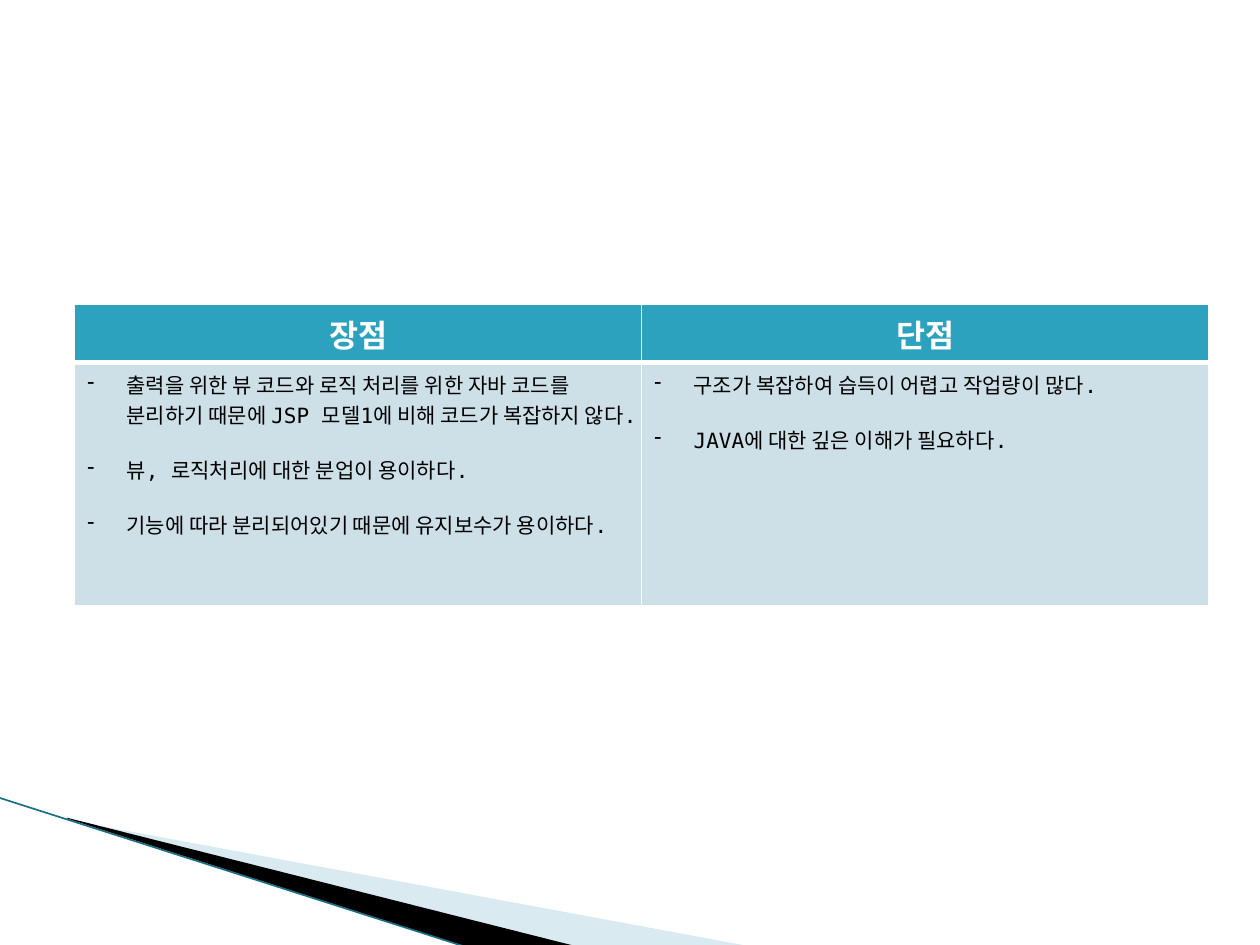
"""Build a slide that weighs the pros and cons of a design in a table."""
from dataclasses import dataclass

from lxml import etree
from pptx import Presentation
from pptx import util as u
from pptx.dml.color import RGBColor
from pptx.enum import shapes, text
from pptx.oxml.ns import qn

HUES = {
    "white": "FFFFFF", "black": "000000", "teal": "2DA2BF",
    "pale": "CDE0E8", "mist": "A0CBDC", "edge": "1A6F82",
}
FONT = "DejaVu Sans Mono"


@dataclass
class Wedge:
    points: list[tuple[float, float]]
    hue: str
    alpha: int = 100


@dataclass
class Column:
    head: str
    items: list[str]


WEDGES = [
    Wedge([(39.6, 468.7), (428.4, 540.7), (328.3, 540.7), (39.6, 468)], "mist", 40),
    Wedge([(38.2, 467.3), (329, 540.7), (267.8, 541.4), (38.9, 468)], "black"),
]
COLUMNS = [
    Column("장점", [
        "출력을 위한 뷰 코드와 로직 처리를 위한 자바 코드를 분리하기 때문에 JSP 모델1에 비해 코드가 복잡하지 않다.",
        "뷰, 로직처리에 대한 분업이 용이하다.",
        "기능에 따라 분리되어있기 때문에 유지보수가 용이하다.",
    ]),
    Column("단점", [
        "구조가 복잡하여 습득이 어렵고 작업량이 많다.",
        "JAVA에 대한 깊은 이해가 필요하다.",
    ]),
]


def paint(fill, hue: str) -> None:
    """Give a fill one solid colour."""
    fill.solid()
    fill.fore_color.rgb = RGBColor.from_string(HUES[hue])


def write(par, words: str, *, size: float, hue: str, bold: bool = False,
          align=text.PP_ALIGN.LEFT, gap: float = 0, dash: bool = False) -> None:
    """Put formatted words in a paragraph."""
    par.alignment = align
    par.space_before = u.Pt(gap)
    run = par.add_run()
    run.text = words
    run.font.name, run.font.size, run.font.bold = FONT, u.Pt(size), bold
    run.font.color.rgb = RGBColor.from_string(HUES[hue])
    if dash:
        props = par._p.get_or_add_pPr()
        props.set("marL", str(u.Pt(22.5)))
        props.set("indent", str(-u.Pt(22.5)))
        etree.SubElement(props, qn("a:buChar"), char="-")


def border(cell, **widths: float) -> None:
    """Draw white borders on the named sides of a cell."""
    props = cell._tc.get_or_add_tcPr()
    for side, width in widths.items():
        line = etree.SubElement(props, qn(f"a:ln{side}"), w=str(u.Pt(width)))
        solid = etree.SubElement(line, qn("a:solidFill"))
        etree.SubElement(solid, qn("a:srgbClr"), val=HUES["white"])


def draw(slide, wedge: Wedge) -> None:
    """Draw one corner wedge."""
    first, *rest = [(u.Pt(x), u.Pt(y)) for x, y in wedge.points]
    pen = slide.shapes.build_freeform(*first)
    pen.add_line_segments(rest)
    shape = pen.convert_to_shape()
    shape.shadow.inherit = False
    shape.line.fill.background()
    paint(shape.fill, wedge.hue)
    if wedge.alpha < 100:
        tint = shape._element.spPr.find(f".//{qn('a:srgbClr')}")
        etree.SubElement(tint, qn("a:alpha"), val=str(wedge.alpha * 1000))


def rule(slide) -> None:
    """Draw the thin line along the wedges."""
    line = slide.shapes.add_connector(
        shapes.MSO_CONNECTOR.STRAIGHT, u.Pt(-0.7), u.Pt(455.8), u.Pt(267.1), u.Pt(541.4))
    line.line.width = u.Pt(0.95)
    paint(line.line.fill, "edge")
    etree.SubElement(line._element.spPr, qn("a:effectLst"))


def grid(slide, cols: list[Column]) -> None:
    """Draw the table, one column for each side of the case."""
    table = slide.shapes.add_table(
        2, len(cols), u.Pt(42.7), u.Pt(174), u.Pt(648), u.Pt(170)).table
    table.rows[0].height, table.rows[1].height = u.Pt(31.2), u.Pt(138.8)
    for num, col in enumerate(cols):
        head, body = table.cell(0, num), table.cell(1, num)
        border(head, L=1, R=1, T=1, B=3)
        border(body, L=1, R=1, T=3, B=1)
        paint(head.fill, "teal")
        paint(body.fill, "pale")
        write(head.text_frame.paragraphs[0], col.head, size=18, hue="white",
              bold=True, align=text.PP_ALIGN.CENTER)
        frame = body.text_frame
        for pos, item in enumerate(col.items):
            par = frame.add_paragraph() if pos else frame.paragraphs[0]
            write(par, item, size=12, hue="black", gap=14 if pos else 0, dash=True)


def main() -> None:
    """Build and save the slide."""
    deck = Presentation()
    deck.slide_width, deck.slide_height = u.Pt(720), u.Pt(540)
    slide = deck.slides.add_slide(deck.slide_layouts[6])
    for wedge in WEDGES:
        draw(slide, wedge)
    rule(slide)
    grid(slide, COLUMNS)
    deck.save("out.pptx")


if __name__ == "__main__":
    main()
